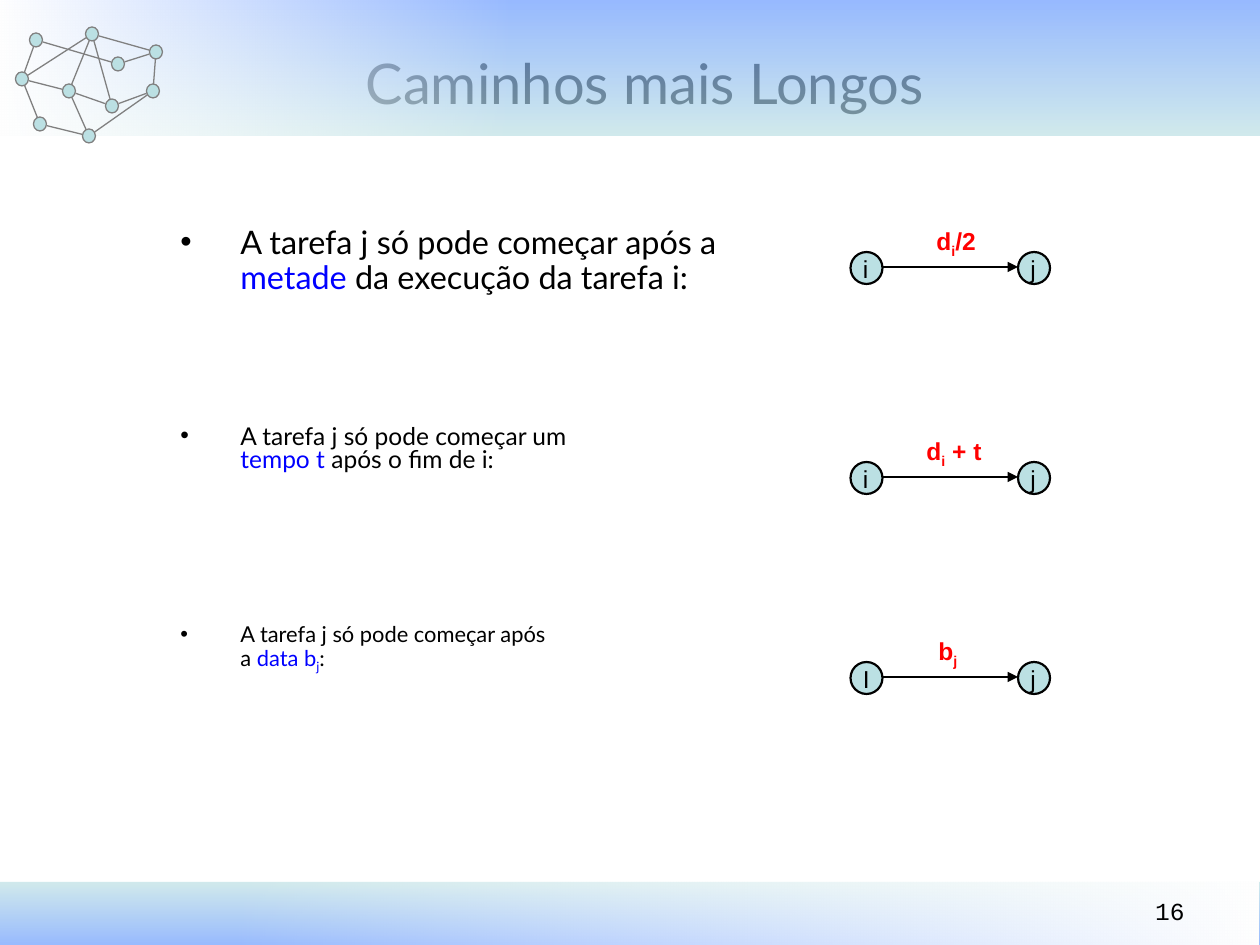
from math import hypot

from lxml.etree import SubElement
from pptx import Presentation
from pptx.dml.color import RGBColor
from pptx.enum.shapes import MSO_CONNECTOR, MSO_SHAPE
from pptx.enum.text import MSO_ANCHOR, PP_ALIGN
from pptx.oxml.ns import qn
from pptx.util import Emu, Pt

BLACK = RGBColor(0, 0, 0)
WHITE = RGBColor(0xFF, 0xFF, 0xFF)
GRAY = RGBColor(0x80, 0x80, 0x80)
RED = RGBColor(0xFF, 0, 0)
BLUE = RGBColor(0, 0, 0xFF)
TEAL = RGBColor(0xBB, 0xE0, 0xE3)
SKY = RGBColor(0x66, 0x99, 0xFF)

INDENT = 60
NODE = 32
NETWORK_NODES = [(36, 40), (22, 79), (92, 34), (69, 91), (40, 124),
                 (118, 64), (156, 52), (112, 106), (153, 91), (89, 136)]
NETWORK_EDGES = [(1, 4), (1, 3), (0, 5), (5, 6), (2, 3), (3, 7), (3, 9), (0, 1),
                 (2, 7), (4, 9), (7, 8), (2, 6), (6, 8), (9, 8), (1, 2)]


def px(n):
    return Emu(round(n * 914400 / 126))


def box(*lengths):
    return [px(n) for n in lengths]


def add_band(slide, x, y, w, h, stops, angle):
    """Rectangle with a linear gradient; stops are (colour, opacity %)."""
    sp = slide.shapes.add_shape(MSO_SHAPE.RECTANGLE, *box(x, y, w, h))
    sp.shadow.inherit = False
    sp.line.fill.background()
    sp.fill.gradient()
    grad = sp.fill._fill._gradFill
    for stop, (color, opacity) in zip(sp.fill.gradient_stops, stops):
        stop.color.rgb = color
    for gs, (color, opacity) in zip(grad.iter(qn("a:gs")), stops):
        SubElement(gs[0], qn("a:alpha")).set("val", str(opacity * 1000))
    for i, stop in enumerate(sp.fill.gradient_stops):
        stop.position = i
    grad.find(qn("a:lin")).set("ang", str(angle * 60000))


def add_circle(shapes, x, y, w, h, line, width):
    sp = shapes.add_shape(MSO_SHAPE.OVAL, *box(x, y, w, h))
    sp.shadow.inherit = False
    sp.fill.solid()
    sp.fill.fore_color.rgb = TEAL
    sp.line.color.rgb = line
    sp.line.width = Pt(width)


def add_line(shapes, x1, y1, x2, y2, color, width, arrow=False):
    cx = shapes.add_connector(MSO_CONNECTOR.STRAIGHT, *box(x1, y1, x2, y2))
    cx.line.color.rgb = color
    cx.line.width = Pt(width)
    if arrow:
        SubElement(cx.line._get_or_add_ln(), qn("a:tailEnd")).set("type", "triangle")
    SubElement(cx._element.spPr, qn("a:effectLst"))


def add_runs(p, runs, size, font, bold=False):
    """Runs are (text, colour) or (text, colour, baseline %)."""
    for text, color, *baseline in runs:
        r = p.add_run()
        r.text = text
        r.font.size = Pt(size)
        r.font.name = font
        r.font.bold = bold
        r.font.color.rgb = color
        if baseline:
            r._r.get_or_add_rPr().set("baseline", str(baseline[0] * 1000))


def add_text(shapes, x, y, w, h):
    tf = shapes.add_textbox(*box(x, y, w, h)).text_frame
    tf.word_wrap = True
    return tf


def add_bullet(slide, y, w, h, size, spacing, lines):
    """Bulleted first line, with the next line aligned under its text."""
    tf = add_text(slide.shapes, 168, y, w, h)
    for i, runs in enumerate(lines):
        p = tf.add_paragraph() if i else tf.paragraphs[0]
        p.line_spacing = spacing
        pPr = p._p.get_or_add_pPr()
        pPr.set("marL", str(px(INDENT)))
        pPr.set("indent", str(0 if i else -px(INDENT)))
        if not i:
            SubElement(pPr, qn("a:buFont")).set("typeface", "Arial")
            SubElement(pPr, qn("a:buChar")).set("char", "•")
        add_runs(p, runs, size, "Lato")


def add_arc(slide, y, start, label, label_x, label_w):
    """Two task nodes joined by an arrow with its weight above."""
    shapes = slide.shapes.add_group_shape().shapes
    nodes = [(850.5, start), (1018, "j")]
    for x, name in nodes:
        add_circle(shapes, x, y, NODE, NODE, BLACK, 1.25)
    add_line(shapes, 882, y + 15, 1018, y + 15, BLACK, 1.25, arrow=True)
    for x, name in nodes:
        tf = add_text(shapes, x, y - 4, NODE, 43)
        add_runs(tf.paragraphs[0], [(name, BLACK)], 14, "Arial")
    tf = add_text(shapes, label_x, y - 32, label_w, 47)
    add_runs(tf.paragraphs[0], label, 14, "Arial", bold=True)


def add_network(slide):
    shapes = slide.shapes.add_group_shape().shapes
    for x, y in NETWORK_NODES:
        add_circle(shapes, x - 6.5, y - 7, 13, 14, GRAY, 0.74)
    for a, b in NETWORK_EDGES:
        (x1, y1), (x2, y2) = NETWORK_NODES[a], NETWORK_NODES[b]
        k = 7 / hypot(x2 - x1, y2 - y1)
        dx, dy = k * (x2 - x1), k * (y2 - y1)
        add_line(shapes, x1 + dx, y1 + dy, x2 - dx, y2 - dy, GRAY, 0.74)


def add_title(slide, text):
    title = slide.shapes.title
    title.left, title.top, title.width, title.height = box(199, 38, 892, 88)
    tf = title.text_frame
    tf.vertical_anchor = MSO_ANCHOR.MIDDLE
    p = tf.paragraphs[0]
    p.alignment = PP_ALIGN.CENTER
    add_runs(p, [(text, BLACK)], 32, "Lato")


def main():
    prs = Presentation()
    prs.slide_width, prs.slide_height = box(1260, 945)
    slide = prs.slides.add_slide(prs.slide_layouts[5])

    # Footer and header bands, each fading to white at one side
    tint = [(TEAL, 68), (SKY, 68)]
    fade = [(WHITE, 0), (WHITE, 100)]
    add_band(slide, 0, 882, 1260, 65, tint, 90)
    add_band(slide, 229, 882, 1030, 63, fade, 0)
    add_band(slide, 0, 0, 1260, 136, tint, 270)
    add_band(slide, 0, 0, 514, 136, fade, 180)
    add_network(slide)

    add_title(slide, "Caminhos mais Longos")

    # Precedence rules
    add_bullet(slide, 220, 630, 95, 18.5, 0.9, [
        [("A tarefa j só pode começar após a ", BLACK)],
        [("metade", BLUE), (" da execução da tarefa i:", BLACK)]])
    add_bullet(slide, 420, 567, 73, 14, 0.8, [
        [("A tarefa j só pode começar um ", BLACK)],
        [("tempo t", BLUE), (" após o fim de i:", BLACK)]])
    add_bullet(slide, 620, 609, 73, 12.5, 0.8, [
        [("A tarefa j só pode começar após ", BLACK)],
        [("a ", BLACK), ("data b", BLUE), ("j", BLUE, -25), (":", BLACK)]])

    # Arc for each rule
    add_arc(slide, 252, "i", [("d", RED), ("i", RED, -25), ("/2", RED)], 924, 84)
    add_arc(slide, 462, "i", [("d", RED), ("i", RED, -25), (" + t", RED)], 914, 135)
    add_arc(slide, 662, "I", [("b", RED), ("j", RED, -25)], 926, 60)

    # Page number
    p = add_text(slide.shapes, 1102, 890, 95, 55).paragraphs[0]
    p.alignment = PP_ALIGN.RIGHT
    add_runs(p, [("16", BLACK)], 14, "Courier New")

    prs.save("out.pptx")


main()
